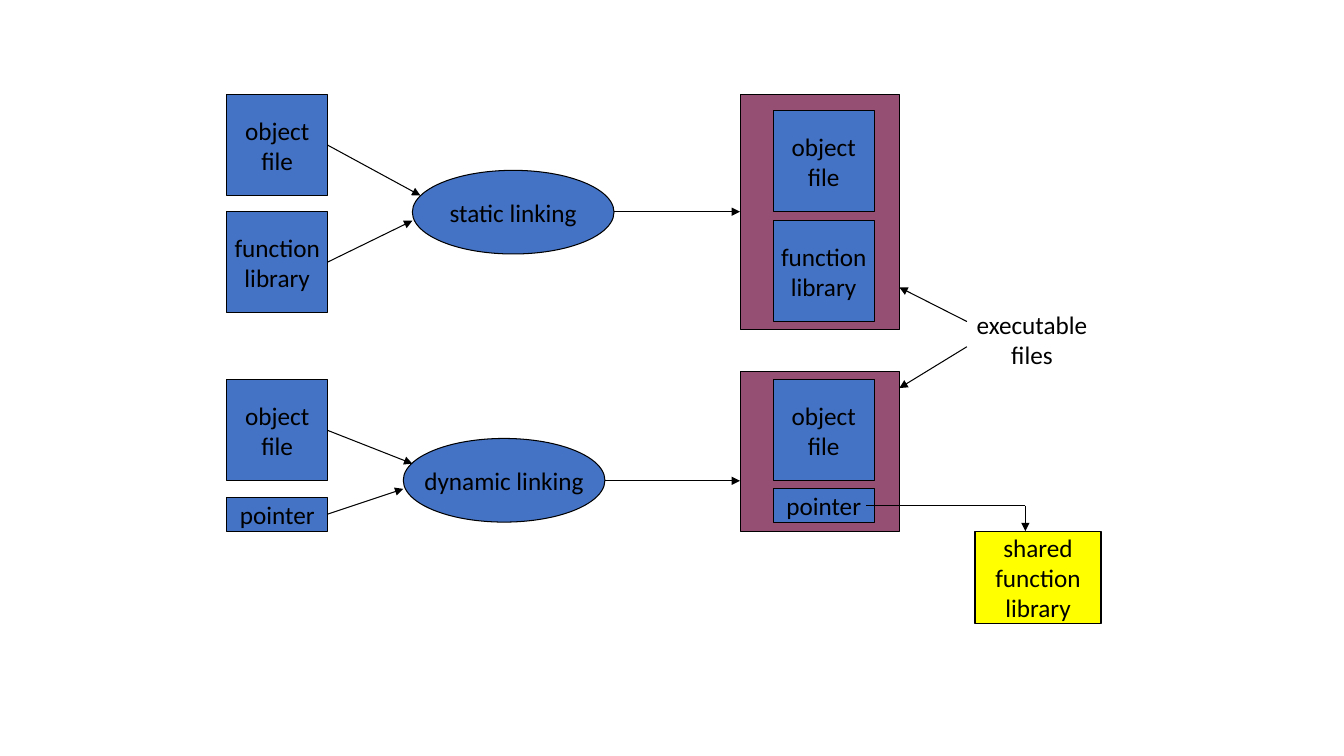
from lxml import etree
from pptx import Presentation
from pptx.dml.color import RGBColor
from pptx.enum.shapes import MSO_CONNECTOR, MSO_SHAPE
from pptx.enum.text import MSO_ANCHOR, PP_ALIGN
from pptx.oxml.ns import qn
from pptx.util import Inches, Pt

RECTANGLE = MSO_SHAPE.RECTANGLE
OVAL = MSO_SHAPE.OVAL
STRAIGHT = MSO_CONNECTOR.STRAIGHT
MIDDLE = MSO_ANCHOR.MIDDLE
CENTER = PP_ALIGN.CENTER

BLACK = RGBColor(0x00, 0x00, 0x00)
BLUE = RGBColor(0x44, 0x72, 0xC4)
PLUM = RGBColor(0x95, 0x4F, 0x72)
YELLOW = RGBColor(0xFF, 0xFF, 0x00)

FONT = "Calibri"
TEXT_SIZE = Pt(18)
LINE_WIDTH = Pt(0.75)

INPUT_LEFT = 2.25
EXECUTABLE_LEFT = 7.34
CONTENT_LEFT = 7.67
PART_WIDTH = 1
FILE_HEIGHT = 1
POINTER_HEIGHT = 0.33
OBJECT_FILE = "object\nfile"
FUNCTION_LIBRARY = "function\nlibrary"


def write_text(shape, text):
    frame = shape.text_frame
    frame.text = text
    frame.word_wrap = False
    frame.vertical_anchor = MIDDLE
    for para in frame.paragraphs:
        para.alignment = CENTER
        for span in para.runs:
            span.font.name = FONT
            span.font.size = TEXT_SIZE
            span.font.color.rgb = BLACK


def add_block(slide, left, top, width, height, fill, text="", kind=RECTANGLE):
    block = slide.shapes.add_shape(
        kind, Inches(left), Inches(top), Inches(width), Inches(height))
    block.shadow.inherit = False
    block.fill.solid()
    block.fill.fore_color.rgb = fill
    block.line.color.rgb = BLACK
    block.line.width = LINE_WIDTH
    if text:
        write_text(block, text)


def add_file(slide, left, top, text):
    add_block(slide, left, top, PART_WIDTH, FILE_HEIGHT, BLUE, text)


def add_pointer(slide, left, top):
    add_block(slide, left, top, PART_WIDTH, POINTER_HEIGHT, BLUE, "pointer")


def add_linker(slide, left, top, text):
    add_block(slide, left, top, 2, 0.83, BLUE, text, OVAL)


def add_executable(slide, top, height):
    add_block(slide, EXECUTABLE_LEFT, top, 1.58, height, PLUM)


def add_line(slide, start, end, arrow=True):
    x1, y1, x2, y2 = (Inches(value) for value in (*start, *end))
    line = slide.shapes.add_connector(STRAIGHT, x1, y1, x2, y2)
    line.line.color.rgb = BLACK
    line.line.width = LINE_WIDTH
    if arrow:
        outline = line.line._get_or_add_ln()
        etree.SubElement(outline, qn("a:tailEnd"), type="triangle")
    etree.SubElement(line._element.spPr, qn("a:effectLst"))


def add_label(slide, left, top, width, height, text):
    box = slide.shapes.add_textbox(
        Inches(left), Inches(top), Inches(width), Inches(height))
    write_text(box, text)


def add_static_linking(slide):
    # Inputs and linker
    add_file(slide, INPUT_LEFT, 0.94, OBJECT_FILE)
    add_file(slide, INPUT_LEFT, 2.1, FUNCTION_LIBRARY)
    add_linker(slide, 4.09, 1.69, "static linking")
    # Executable holding both parts
    add_executable(slide, 0.94, 2.33)
    add_file(slide, CONTENT_LEFT, 1.1, OBJECT_FILE)
    add_file(slide, CONTENT_LEFT, 2.19, FUNCTION_LIBRARY)
    # Flow
    add_line(slide, (3.25, 1.44), (4.17, 1.94))
    add_line(slide, (3.25, 2.6), (4.09, 2.19))
    add_line(slide, (6.09, 2.1), (EXECUTABLE_LEFT, 2.1))


def add_dynamic_linking(slide):
    # Inputs and linker
    add_file(slide, INPUT_LEFT, 3.77, OBJECT_FILE)
    add_pointer(slide, INPUT_LEFT, 4.94)
    add_linker(slide, 4, 4.35, "dynamic linking")
    # Executable holding a pointer
    add_executable(slide, 3.69, 1.58)
    add_file(slide, CONTENT_LEFT, 3.77, OBJECT_FILE)
    add_pointer(slide, CONTENT_LEFT, 4.85)
    # Flow
    add_line(slide, (3.25, 4.27), (4.09, 4.6))
    add_line(slide, (3.25, 5.1), (4, 4.85))
    add_line(slide, (6, 4.77), (EXECUTABLE_LEFT, 4.77))
    # Shared library reached through the pointer
    add_block(slide, 9.67, 5.27, 1.25, 0.92, YELLOW,
              "shared\nfunction\nlibrary")
    add_line(slide, (10.17, 5.02), (8.59, 5.02), arrow=False)
    add_line(slide, (10.17, 5.02), (10.17, 5.27))


def add_executable_note(slide):
    add_label(slide, 9.53, 3.02, 1.41, 0.7, "executable\nfiles")
    add_line(slide, (9.59, 3.19), (8.92, 2.85))
    add_line(slide, (9.59, 3.44), (8.92, 3.85))


def main():
    deck = Presentation()
    deck.slide_width = Inches(13.33)
    deck.slide_height = Inches(7.5)
    slide = deck.slides.add_slide(deck.slide_layouts.get_by_name("Blank"))
    add_static_linking(slide)
    add_dynamic_linking(slide)
    add_executable_note(slide)
    deck.save("out.pptx")


if __name__ == "__main__":
    main()
